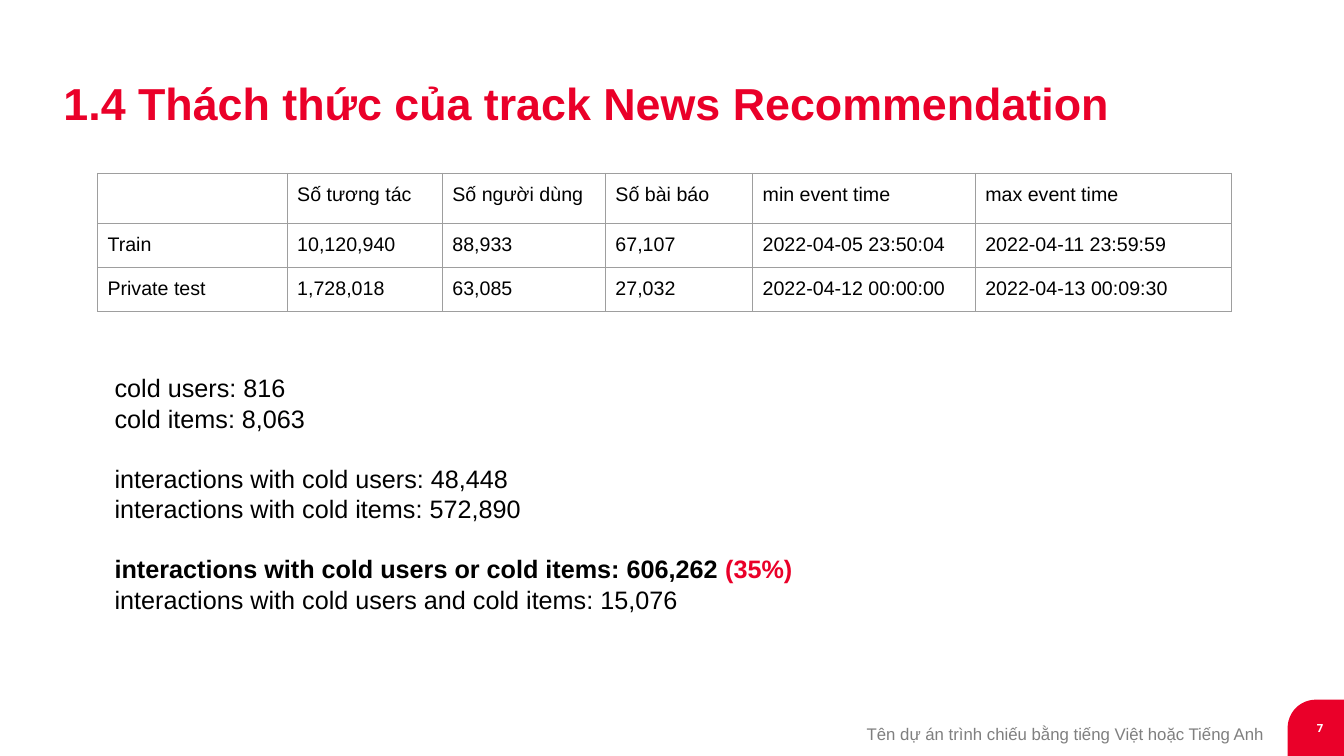
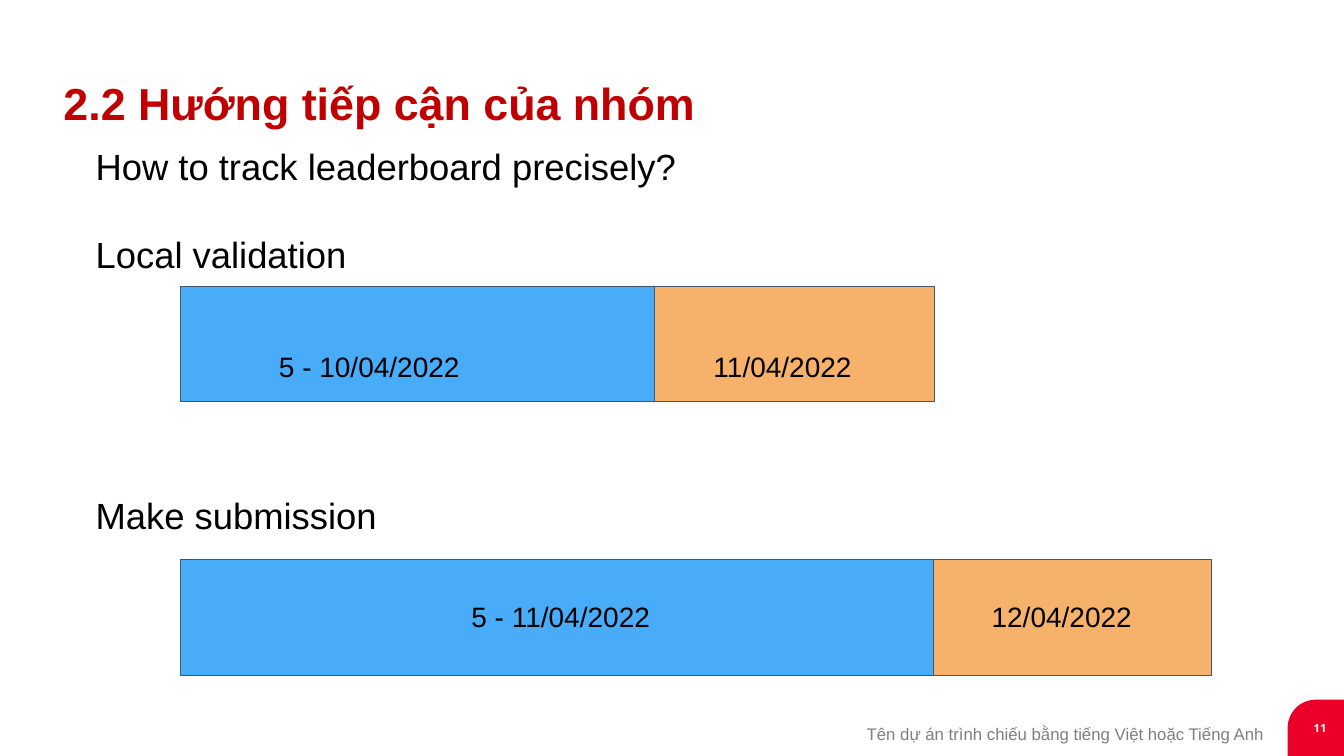
from lxml import etree
from pptx import Presentation
from pptx.dml.color import RGBColor
from pptx.enum.shapes import MSO_SHAPE
from pptx.enum.text import MSO_ANCHOR, PP_ALIGN
from pptx.oxml import parse_xml
from pptx.oxml.ns import nsdecls
from pptx.util import Cm, Pt

RED, DARK_RED, BLACK, WHITE = "EA0029", "C00000", "000000", "FFFFFF"
GREY, BORDER, OUTLINE = "7F7F7F", "9E9E9E", "44546A"
BLUE, ORANGE = "49ACF8", "F6B26B"
FOOTER = "Tên dự án trình chiếu bằng tiếng Việt hoặc Tiếng Anh"
WIDTH, HEIGHT, BADGE = 33.87, 19.05, 1.42


def rgb(hex_code):
    return RGBColor.from_string(hex_code)


def add_text(slide, box, lines, size, color=BLACK, bold=False, font="Arial",
             insets=(0.25, 0.25, 0.25, 0.25)):
    """Add a wrapped text box, one paragraph per line, and return its frame."""
    frame = slide.shapes.add_textbox(*map(Cm, box)).text_frame
    frame.word_wrap = True
    (frame.margin_left, frame.margin_top,
     frame.margin_right, frame.margin_bottom) = map(Cm, insets)
    frame.text = "\n".join(lines)
    for paragraph in frame.paragraphs:
        paragraph.font.size = Pt(size)
        paragraph.font.name = font
        paragraph.font.bold = bold
        paragraph.font.color.rgb = rgb(color)
    return frame


deck = Presentation()
deck.slide_width, deck.slide_height = Cm(WIDTH), Cm(HEIGHT)

# Shared parts: corner badge, page number, footer and title
slides = []
for number, title, title_color in (
    ("7", "1.4 Thách thức của track News Recommendation", RED),
    ("11", "2.2 Hướng tiếp cận của nhóm", DARK_RED),
):
    slide = deck.slides.add_slide(deck.slide_layouts[6])
    slides.append(slide)

    badge = slide.shapes.add_shape(
        MSO_SHAPE.ROUND_1_RECTANGLE, Cm(WIDTH - BADGE), Cm(HEIGHT - BADGE),
        Cm(BADGE), Cm(BADGE))
    badge.adjustments[0] = 0.5
    badge.rotation = 270
    badge.shadow.inherit = False
    badge.fill.solid()
    badge.fill.fore_color.rgb = rgb(RED)
    badge.line.fill.background()

    page = add_text(slide, (32.51, 17.91, 1.52, 0.89), [number], 8, WHITE, True,
                    "Open Sans", (0.25, 0.13, 0.25, 0.13))
    page.vertical_anchor = MSO_ANCHOR.MIDDLE
    page.paragraphs[0].alignment = PP_ALIGN.CENTER

    footer = add_text(slide, (18.8, 17.98, 13.67, 0.79), [FOOTER], 12, GREY,
                      insets=(0, 0.1, 0.61, 0.1))
    footer.paragraphs[0].alignment = PP_ALIGN.RIGHT
    footer.paragraphs[0].line_spacing = 1.3

    heading = add_text(slide, (1.35, 1.93, 28.19, 1.88), [title], 32, title_color,
                       True, insets=(0.25, 0.13, 0.25, 0.13))
    heading.paragraphs[0].line_spacing = 0.9

challenge, approach = slides

# Dataset table
dataset = (
    ("", "Số tương tác", "Số người dùng", "Số bài báo",
     "min event time", "max event time"),
    ("Train", "10,120,940", "88,933", "67,107",
     "2022-04-05 23:50:04", "2022-04-11 23:59:59"),
    ("Private test", "1,728,018", "63,085", "27,032",
     "2022-04-12 00:00:00", "2022-04-13 00:09:30"),
)
column_widths = (4.78, 3.91, 4.11, 3.71, 5.61, 6.45)
row_heights = (1.26, 1.11, 1.11)
table = challenge.shapes.add_table(
    len(row_heights), len(column_widths), Cm(2.46), Cm(4.37),
    Cm(sum(column_widths)), Cm(sum(row_heights))).table
table.first_row = table.horz_banding = False
for column, width in zip(table.columns, column_widths):
    column.width = Cm(width)
for row, height, values in zip(table.rows, row_heights, dataset):
    row.height = Cm(height)
    for cell, value in zip(row.cells, values):
        cell.margin_left = cell.margin_right = Cm(0.25)
        cell.margin_top = cell.margin_bottom = Cm(0.25)
        cell.text = value
        paragraph = cell.text_frame.paragraphs[0]
        paragraph.font.size = Pt(14)
        paragraph.font.name = "Arial"
        paragraph.font.color.rgb = rgb(BLACK)
        properties = cell._tc.get_or_add_tcPr()
        for side in ("lnL", "lnR", "lnT", "lnB"):
            edge = parse_xml(f'<a:{side} {nsdecls("a")} w="{Pt(0.75)}"/>')
            fill = etree.SubElement(edge, edge.tag.replace(side, "solidFill"))
            etree.SubElement(fill, edge.tag.replace(side, "srgbClr"), val=BORDER)
            properties.append(edge)
        cell.fill.background()

# Cold-start counts, in three groups
counts = add_text(challenge, (2.64, 9.14, 18.34, 6.68), [
    "cold users: 816",
    "cold items: 8,063",
    "interactions with cold users: 48,448",
    "interactions with cold items: 572,890",
    "interactions with cold users or cold items: 606,262 ",
    "interactions with cold users and cold items: 15,076",
], 18).paragraphs
for group_start in (counts[2], counts[4]):
    group_start.space_before = Pt(21.5)
counts[4].font.bold = True
share = counts[4].add_run()
share.text = "(35%)"
share.font.color.rgb = rgb(RED)

# Approach: question and the two timelines
for top, caption in (
    (3.38, "How to track leaderboard precisely?"),
    (5.59, "Local validation"),
    (12.17, "Make submission"),
):
    add_text(approach, (2.16, top, 26.24, 1.63), [caption], 26)

# Each period: width, colour, label, label offset from the bar's left edge
timelines = (
    (7.21, 8.56, ((11.94, BLUE, "5 - 10/04/2022", 2.23),
                  (7.07, ORANGE, "11/04/2022", 1.24))),
    (14.1, 14.86, ((18.97, BLUE, "5 - 11/04/2022", 7.08),
                   (7.01, ORANGE, "12/04/2022", 1.22))),
)
for bar_top, label_top, periods in timelines:
    left = 4.55
    for width, color, dates, offset in periods:
        bar = approach.shapes.add_shape(
            MSO_SHAPE.RECTANGLE, Cm(left), Cm(bar_top), Cm(width), Cm(2.92))
        bar.shadow.inherit = False
        bar.fill.solid()
        bar.fill.fore_color.rgb = rgb(color)
        bar.line.color.rgb = rgb(OUTLINE)
        bar.line.width = Pt(0.75)
        add_text(approach, (left + offset, label_top, 5.79, 1.37), [dates], 20)
        left += width

deck.save("out.pptx")
